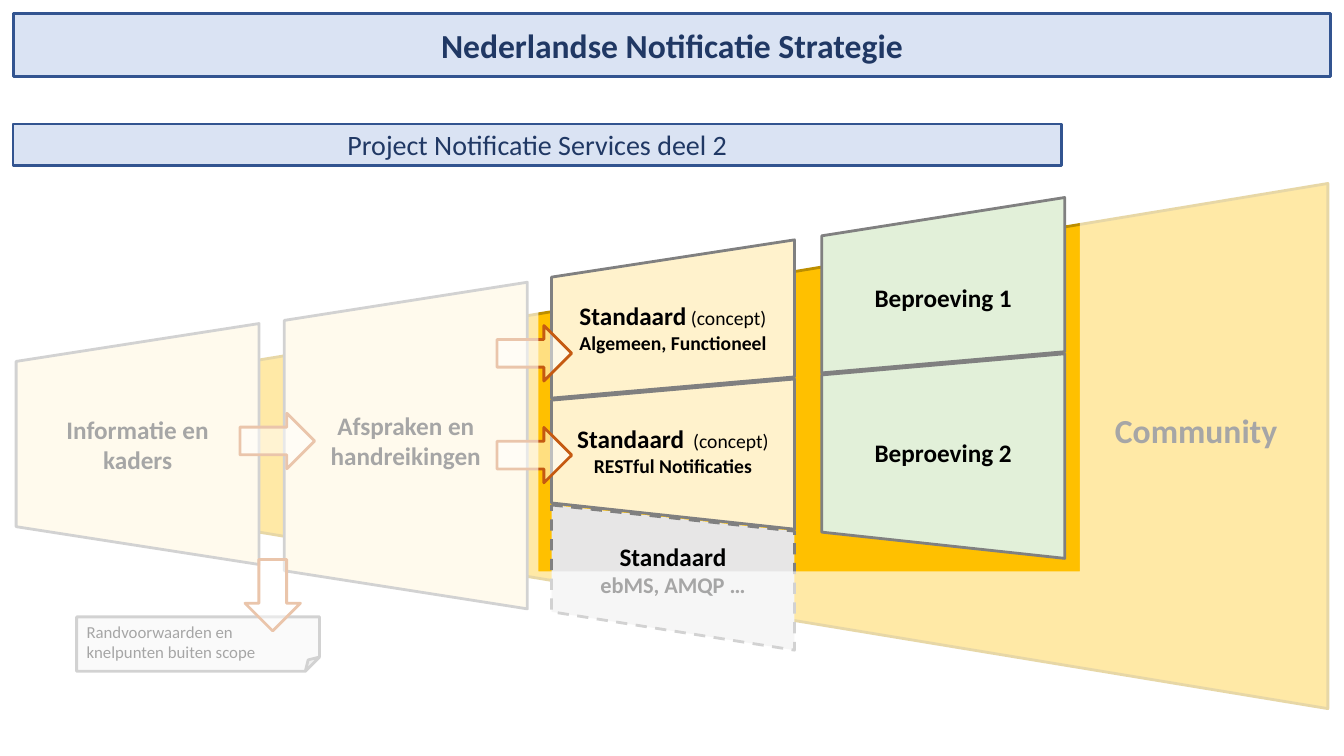
from lxml import etree
from pptx import Presentation
from pptx.dml.color import RGBColor
from pptx.enum.dml import MSO_LINE
from pptx.enum.shapes import MSO_SHAPE
from pptx.enum.text import MSO_ANCHOR, MSO_AUTO_SIZE, PP_ALIGN
from pptx.oxml.ns import qn
from pptx.util import Inches, Pt

TRAPEZOID = MSO_SHAPE.TRAPEZOID
RIGHT_ARROW = MSO_SHAPE.RIGHT_ARROW
FOLDED_CORNER = MSO_SHAPE.FOLDED_CORNER
RECTANGLE = MSO_SHAPE.RECTANGLE
DASH = MSO_LINE.DASH
MIDDLE = MSO_ANCHOR.MIDDLE
TOP = MSO_ANCHOR.TOP
NO_AUTOFIT = MSO_AUTO_SIZE.NONE
CENTER = PP_ALIGN.CENTER
LEFT = PP_ALIGN.LEFT

FONT = "Calibri"
COLORS = {
    "gold": "FFC000", "gold_line": "BC8E00", "cream": "FFF2CC", "green": "E2F0D9",
    "gray": "E7E6E6", "gray_line": "808080", "banner": "DAE3F3", "banner_line": "325490",
    "navy": "203864", "orange": "C55A11", "white": "FFFFFF", "black": "000000",
}
PANEL_WIDTH = 2.41
STANDARD_LEFT = 5.47
TRIAL_LEFT = 8.15


def color(name):
    return RGBColor.from_string(COLORS[name])


def style(shape, fill, line=None, opacity=None, dash=None):
    shape.shadow.inherit = False
    shape.fill.solid()
    shape.fill.fore_color.rgb = color(fill)
    if opacity is not None:
        fill_color = shape._element.spPr.find(qn("a:solidFill")).find(qn("a:srgbClr"))
        etree.SubElement(fill_color, qn("a:alpha"), val=str(opacity * 1000))
    if line is None:
        shape.line.fill.background()
        return
    shape.line.color.rgb = color(line)
    shape.line.width = Pt(2)
    if dash is not None:
        shape.line.dash_style = dash


def write(shape, lines, align=CENTER, anchor=TOP, text_color="black", wrap=True):
    frame = shape.text_frame
    frame.word_wrap = wrap
    frame.auto_size = NO_AUTOFIT
    frame.vertical_anchor = anchor
    for index, runs in enumerate(lines):
        paragraph = frame.paragraphs[0] if index == 0 else frame.add_paragraph()
        paragraph.alignment = align
        paragraph.font.name = FONT
        paragraph.font.color.rgb = color(text_color)
        for text, size, bold in runs:
            run = paragraph.add_run()
            run.text = text
            run.font.size = Pt(size)
            run.font.bold = bold


def label(slide, box, lines, **options):
    write(slide.shapes.add_textbox(*map(Inches, box)), lines, **options)


def banner(shape, box, text, size, bold):
    shape.left, shape.top, shape.width, shape.height = map(Inches, box)
    style(shape, "banner", "banner_line")
    write(shape, [[(text, size, bold)]], anchor=MIDDLE, text_color="navy")


def funnel(slide, box, slope, fill, line):
    left, top, width, height = box
    shape = slide.shapes.add_shape(
        TRAPEZOID,
        Inches(left + (width - height) / 2), Inches(top + (height - width) / 2),
        Inches(height), Inches(width),
    )
    shape.rotation = 270
    shape.adjustments[0] = slope
    style(shape, fill, line)


def polygon(slide, *contours):
    builder = None
    for contour in contours:
        points = [(Inches(x), Inches(y)) for x, y in contour]
        if builder is None:
            builder = slide.shapes.build_freeform(*points[0])
        else:
            builder.move_to(*points[0])
        builder.add_line_segments(points[1:], close=True)
    return builder.convert_to_shape()


def panel(slide, left, left_edge, right_edge, fill, label_top, lines, dash=None):
    right = left + PANEL_WIDTH
    shape = polygon(slide, [
        (left, left_edge[0]), (right, right_edge[0]),
        (right, right_edge[1]), (left, left_edge[1]),
    ])
    style(shape, fill, "gray_line", dash=dash)
    label(slide, (left, label_top, PANEL_WIDTH, 0.65), lines)


def arrow(slide, box, rotation=0):
    shape = slide.shapes.add_shape(RIGHT_ARROW, *map(Inches, box))
    shape.rotation = rotation
    style(shape, "white", "orange", opacity=50)


def community(slide, box):
    left, top, width, height = box
    funnel(slide, box, 0.377, "gold", "gold_line")
    label(slide, (left + 9.68, top + 2.2, 1.81, 0.5), [[("Community", 24, True)]],
          align=LEFT, wrap=False)


def preparation(slide, box, label_top, lines):
    left, _, width, _ = box
    funnel(slide, box, 0.157, "cream", "gray_line")
    label(slide, (left, label_top, width, 0.7), [[(line, 18, True)] for line in lines])


def standards(slide, left):
    panel(slide, left, (2.75, 3.95), (2.38, 3.74), "cream", 2.93, [
        [("Standaard", 18, True), (" (concept)", 14, False)],
        [("Algemeen, Functioneel", 14, True)],
    ])
    panel(slide, left, (3.97, 4.99), (3.76, 5.25), "cream", 4.15, [
        [("Standaard", 18, True), ("  (concept)", 14, False)],
        [("RESTful Notificaties", 14, True)],
    ])
    panel(slide, left, (5.01, 6.07), (5.27, 6.45), "gray", 5.32, [
        [("Standaard", 18, True)],
        [("ebMS, AMQP …", 16, True)],
    ], dash=DASH)


def trials(slide, left):
    panel(slide, left, (2.34, 3.7), (1.96, 3.49), "green", 2.75, [[("Beproeving 1", 18, True)]])
    panel(slide, left, (3.72, 5.28), (3.51, 5.54), "green", 4.29, [[("Beproeving 2", 18, True)]])


def side_note(slide, box):
    left, top, _, _ = box
    note = slide.shapes.add_shape(FOLDED_CORNER, *map(Inches, box))
    geometry = note._element.spPr.find(qn("a:prstGeom"))
    geometry.set("prst", "foldedCorner")
    guides = geometry.find(qn("a:avLst"))
    etree.SubElement(guides, qn("a:gd"), name="adj", fmla="val 26200")
    style(note, "gray", "gray_line", opacity=50)
    write(note, [[("Randvoorwaarden en knelpunten buiten scope", 12, False)]], align=LEFT)
    arrow(slide, (left + 1.59, top - 0.49, 0.71, 0.55), rotation=90)


def corners(box):
    left, top, width, height = box
    right, bottom = left + width, top + height
    return [(left, top), (right, top), (right, bottom), (left, bottom)]


def focus_veil(slide, box, window):
    shape = polygon(slide, corners(window)[::-1], corners(box))
    style(shape, "white", opacity=65)


def main():
    presentation = Presentation()
    presentation.slide_width = Inches(13.33)
    presentation.slide_height = Inches(7.5)
    slide = presentation.slides.add_slide(presentation.slide_layouts[5])

    banner(slide.shapes.title, (0.13, 0.13, 13.07, 0.63),
           "Nederlandse Notificatie Strategie", 24, True)
    project_box = (0.13, 1.23, 10.4, 0.41)
    project = slide.shapes.add_shape(RECTANGLE, *map(Inches, project_box))
    banner(project, project_box, "Project Notificatie Services deel 2", 20, False)

    community(slide, (1.28, 1.82, 11.89, 5.21))
    preparation(slide, (0.16, 3.21, PANEL_WIDTH, 2.39), 4.06, ["Informatie en", "kaders"])
    preparation(slide, (2.82, 2.8, PANEL_WIDTH, 3.24), 4.02, ["Afspraken en handreikingen"])
    standards(slide, STANDARD_LEFT)
    trials(slide, TRIAL_LEFT)
    for left, top in [(2.38, 4.1), (4.93, 3.23), (4.93, 4.24)]:
        arrow(slide, (left, top, 0.74, 0.55))
    side_note(slide, (0.76, 6.12, PANEL_WIDTH, 0.54))
    focus_veil(slide, (0.05, 1.71, 13.22, 5.66), (5.34, 1.82, 5.37, 3.85))

    presentation.save("out.pptx")


if __name__ == "__main__":
    main()
